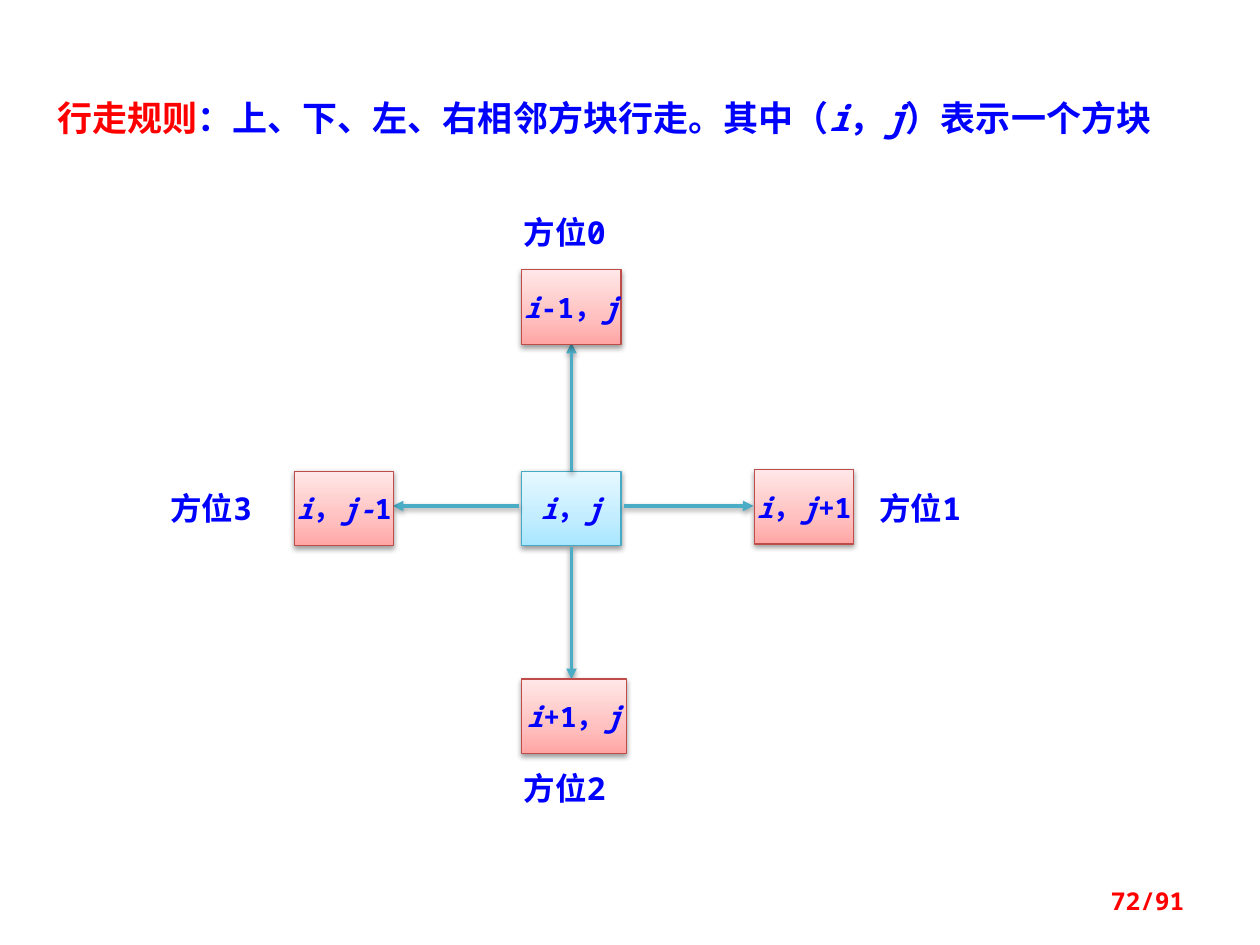
import copy

import pptx
import pptx.dml.color
import pptx.enum.dml
import pptx.enum.shapes
import pptx.enum.text
import pptx.oxml
import pptx.oxml.ns
import pptx.util

Cm = pptx.util.Cm
Pt = pptx.util.Pt
qn = pptx.oxml.ns.qn
ALIGN = pptx.enum.text.PP_ALIGN
ANCHOR = pptx.enum.text.MSO_ANCHOR

MONO, CJK = "Noto Sans Mono", "Noto Sans CJK JP"
COLORS = {"text": "0000FF", "accent": "FF0000", "arrow": "4BACC6",
          "blue_line": "46AAC5", "red_line": "BF4C48"}
# Gradient stops from the bottom edge to the top edge
GRADIENTS = {"blue": ("A7E6FF", "C1EDFF", "E7F8FF"),
             "red": ("FFA6A5", "FFC0BF", "FFE7E7")}
STOPS = (0, 0.35, 1)

BOX_W, BOX_H = 2.0, 1.5
MID_X, MID_Y = 11.52, 10.2  # arrow axes

# Neighbours: label, label position, box text, box position and width, arrow ends
NEIGHBOURS = [
    ("方位0", (10.31, 4.17), "*i*-1，*j*", (10.52, 5.44, BOX_W),
     (MID_X, 9.5, MID_X, 6.91)),
    ("方位1", (17.48, 9.73), "*i*，*j*+1", (15.21, 9.47, BOX_W),
     (12.57, MID_Y, 15.19, MID_Y)),
    ("方位2", (10.31, 15.37), "*i*+1，*j*", (10.52, 13.69, 2.11),
     (MID_X, 11.02, MID_X, 13.69)),
    ("方位3", (3.18, 9.73), "*i*，*j-*1", (5.94, 9.5, BOX_W),
     (10.46, MID_Y, 7.92, MID_Y)),
]


def rgb(value):
    return pptx.dml.color.RGBColor.from_string(value)


def write(p, text, size=18, color="text", font=MONO, align=ALIGN.LEFT):
    """Add runs to a paragraph; parts between asterisks are italic."""
    p.alignment = align
    for n, part in enumerate(text.split("*")):
        if not part:
            continue
        r = p.add_run()
        r.text = part
        r.font.size = Pt(size)
        r.font.bold = True
        r.font.italic = n % 2 == 1
        r.font.name = font
        r.font.color.rgb = rgb(COLORS[color])
        ea = pptx.oxml.parse_xml(
            f'<a:ea {pptx.oxml.ns.nsdecls("a")} typeface="{CJK}"/>')
        r.font._element.find(qn("a:latin")).addnext(ea)


def add_shadow(sp):
    sp._element.spPr.append(pptx.oxml.parse_xml(
        f'<a:effectLst {pptx.oxml.ns.nsdecls("a")}>'
        '<a:outerShdw blurRad="40000" dist="20000" dir="5400000" rotWithShape="0">'
        '<a:srgbClr val="000000"><a:alpha val="38000"/></a:srgbClr>'
        '</a:outerShdw></a:effectLst>'))


def add_title(s):
    sp = s.shapes.title
    sp.left, sp.top, sp.width, sp.height = Cm(0.58), Cm(1.4), Cm(23.42), Cm(1.42)
    tf = sp.text_frame
    tf.word_wrap = True
    tf.vertical_anchor = ANCHOR.TOP
    tf.auto_size = pptx.enum.text.MSO_AUTO_SIZE.NONE
    p = tf.paragraphs[0]
    p.line_spacing = 1.5
    p._p.get_or_add_pPr().set("indent", str(Cm(0.32)))
    write(p, "行走规则", size=20, color="accent", font=CJK)
    write(p, "：上、下、左、右相邻方块行走。其中（*i*，*j*）表示一个方块", size=20)


def add_label(s, text, x, y, w=2.6, anchor=ANCHOR.TOP, **fmt):
    tf = s.shapes.add_textbox(Cm(x), Cm(y), Cm(w), Cm(1.02)).text_frame
    tf.word_wrap = True
    tf.vertical_anchor = anchor
    write(tf.paragraphs[0], text, **fmt)


def add_box(s, text, x, y, w=BOX_W, tone="red"):
    sp = s.shapes.add_shape(pptx.enum.shapes.MSO_SHAPE.RECTANGLE,
                            Cm(x), Cm(y), Cm(w), Cm(BOX_H))
    sp.fill.gradient()
    sp.fill.gradient_angle = 90
    gs_list = sp._element.spPr.find(".//" + qn("a:gsLst"))
    gs_list.insert(1, copy.deepcopy(gs_list[0]))
    for stop, position, color in zip(sp.fill.gradient_stops, STOPS, GRADIENTS[tone]):
        stop.position = position
        stop.color.rgb = rgb(color)
    sp.line.color.rgb = rgb(COLORS[tone + "_line"])
    sp.line.width = Pt(0.75)
    add_shadow(sp)
    tf = sp.text_frame
    tf.word_wrap = False
    tf.vertical_anchor = ANCHOR.MIDDLE
    write(tf.paragraphs[0], text, size=16, align=ALIGN.CENTER)


def add_arrow(s, *ends):
    sp = s.shapes.add_connector(pptx.enum.shapes.MSO_CONNECTOR.STRAIGHT,
                                *[Cm(v) for v in ends])
    sp.line.color.rgb = rgb(COLORS["arrow"])
    sp.line.width = Pt(2)
    sp.line._get_or_add_ln().append(pptx.oxml.parse_xml(
        f'<a:tailEnd {pptx.oxml.ns.nsdecls("a")} type="triangle"/>'))
    add_shadow(sp)


def main():
    prs = pptx.Presentation()
    prs.slide_width, prs.slide_height = Cm(25.4), Cm(19.05)
    s = prs.slides.add_slide(prs.slide_layouts[5])
    add_title(s)

    # Centre block, then arrows below the neighbouring blocks
    add_box(s, "*i*，*j*", 10.52, 9.5, tone="blue")
    for *_, ends in NEIGHBOURS:
        add_arrow(s, *ends)
    for label, label_at, text, box_at, _ in NEIGHBOURS:
        add_box(s, text, *box_at)
        add_label(s, label, *label_at)

    # Page number
    add_label(s, "72/91", 18.21, 17.65, w=5.92, anchor=ANCHOR.MIDDLE,
              size=14, color="accent", align=ALIGN.RIGHT)
    prs.save("out.pptx")


if __name__ == "__main__":
    main()
